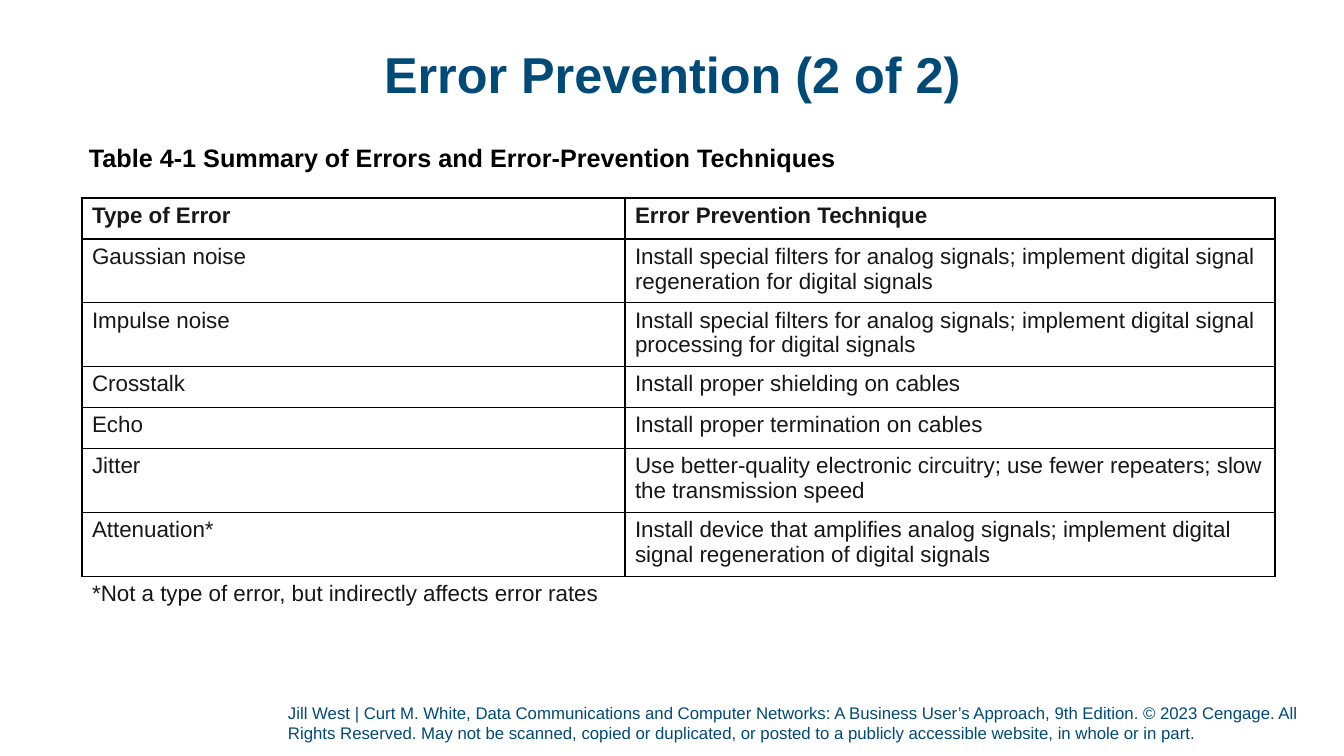
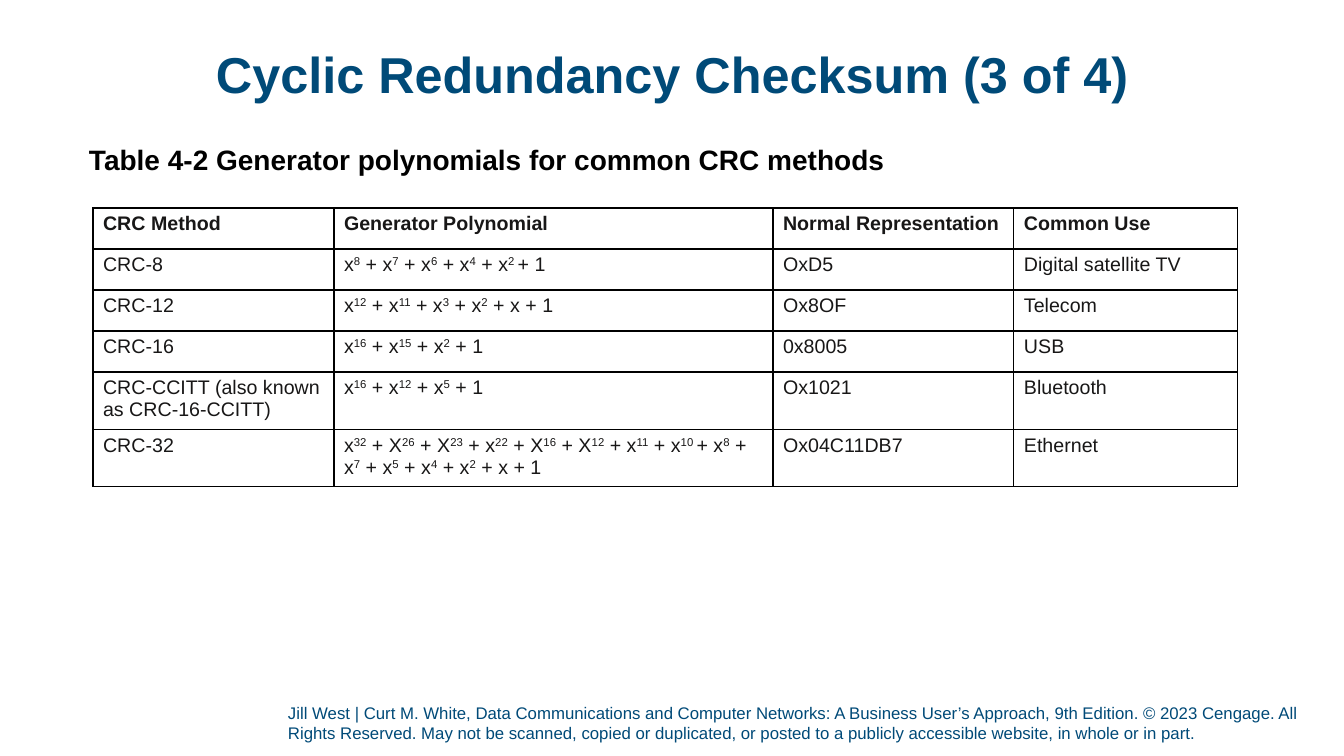
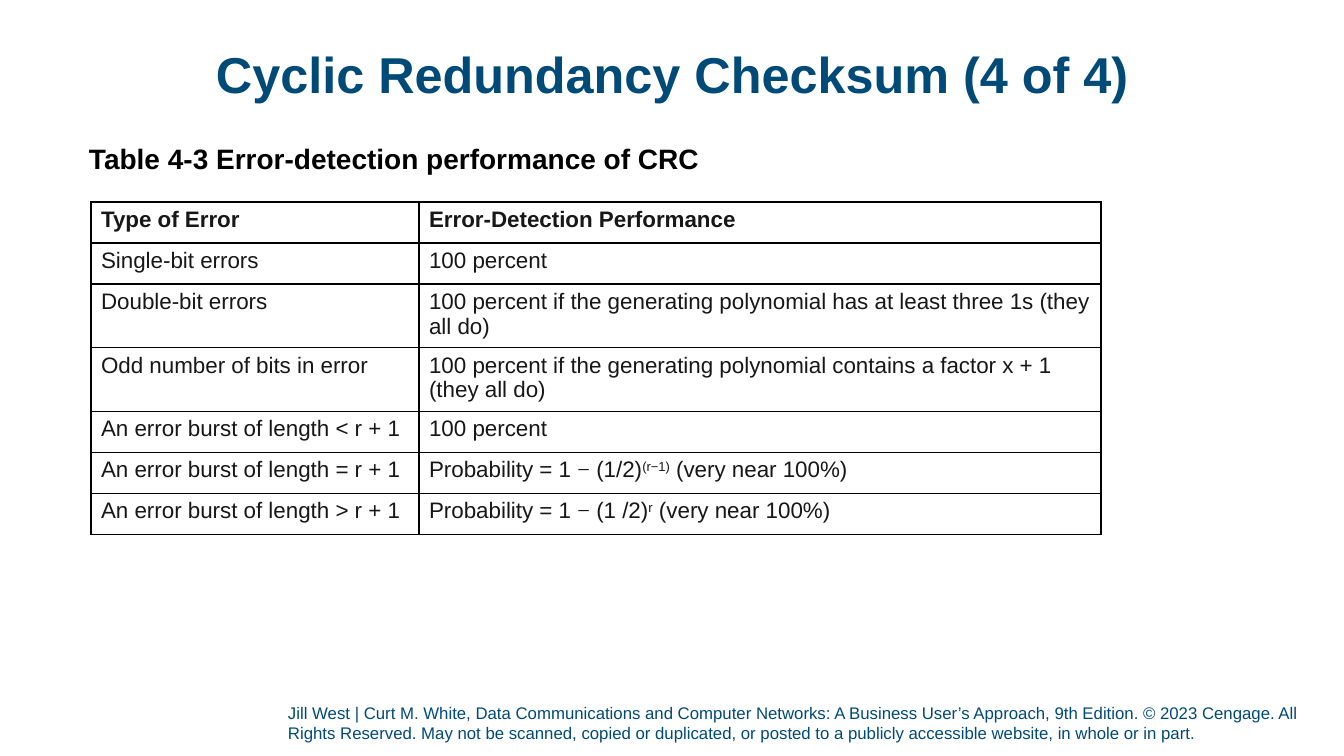
from lxml import etree
from pptx import Presentation
from pptx.dml.color import RGBColor
from pptx.enum import text
from pptx.oxml import ns
from pptx import util as u

PX = 914400 / 100.8
FONT, MINUS_FONT = "Arial", "Times New Roman"
BLUE = RGBColor(0x00, 0x4A, 0x78)
BLACK = RGBColor(0x00, 0x00, 0x00)
INK = RGBColor(0x18, 0x17, 0x17)
ROW = 41
SUPERSCRIPT = "30000"
CREDIT = (
    "Jill West | Curt M. White, Data Communications and Computer Networks: "
    "A Business User’s Approach, 9th Edition. © 2023 Cengage. All Rights Reserved. "
    "May not be scanned, copied or duplicated, or posted to a publicly accessible "
    "website, in whole or in part."
)

TITLE_BOX = (93, 40, 1159, 75)
CREDIT_BOX = (288, 703, 1042, 45)

# In table text, braces enclose a superscript.
ERROR_ROWS = [
    ("Type of Error", "Error Prevention Technique"),
    ("Gaussian noise", "Install special filters for analog signals; implement "
     "digital signal regeneration for digital signals"),
    ("Impulse noise", "Install special filters for analog signals; implement "
     "digital signal processing for digital signals"),
    ("Crosstalk", "Install proper shielding on cables"),
    ("Echo", "Install proper termination on cables"),
    ("Jitter", "Use better-quality electronic circuitry; use fewer repeaters; "
     "slow the transmission speed"),
    ("Attenuation*", "Install device that amplifies analog signals; implement "
     "digital signal regeneration of digital signals"),
    ("*Not a type of error, but indirectly affects error rates", ""),
]
POLYNOMIAL_ROWS = [
    ("CRC Method", "Generator Polynomial", "Normal Representation", "Common Use"),
    ("CRC-8", "x{8} + x{7} + x{6} + x{4} + x{2 }+ 1", "OxD5", "Digital satellite TV"),
    ("CRC-12", "x{12} + x{11} + x{3} + x{2} + x + 1", "Ox8OF", "Telecom"),
    ("CRC-16", "x{16} + x{15} + x{2} + 1", "0x8005", "USB"),
    ("CRC-CCITT (also known as CRC-16-CCITT)", "x{16} + x{12} + x{5} + 1",
     "Ox1021", "Bluetooth"),
    ("CRC-32", "x{32} + X{26} + X{23} + x{22} + X{16} + X{12} + x{11} + x{10 }+ x{8}"
     " + x{7} + x{5} + x{4} + x{2} + x + 1", "Ox04C11DB7", "Ethernet"),
]
PERFORMANCE_ROWS = [
    ("Type of Error", "Error-Detection Performance"),
    ("Single-bit errors", "100 percent"),
    ("Double-bit errors",
     "100 percent if the generating polynomial has at least three 1s (they all do)"),
    ("Odd number of bits in error",
     "100 percent if the generating polynomial contains a factor x + 1 (they all do)"),
    ("An error burst of length < r + 1", "100 percent"),
    ("An error burst of length = r + 1",
     "Probability = 1 − (1/2){(r−1)} (very near 100%)"),
    ("An error burst of length > r + 1",
     "Probability = 1 − (1 /2){r} (very near 100%)"),
]


def px(length):
    return u.Emu(round(length * PX))


def set_all(target, **values):
    for name, value in values.items():
        setattr(target, name, value)


def style_font(font, size, color, bold=False, name=FONT):
    set_all(font, size=u.Pt(size), bold=bold, name=name)
    font.color.rgb = color


def add_text(page, bounds, words, size, color, bold=False, frame=None, para=None):
    """Add a one-paragraph text box; frame and para hold extra format values."""
    body = page.shapes.add_textbox(*map(px, bounds)).text_frame
    margins = dict.fromkeys(
        ("margin_left", "margin_top", "margin_right", "margin_bottom"), 0)
    set_all(body, **{"word_wrap": True, **margins, **(frame or {})})
    line = body.paragraphs[0]
    set_all(line, **(para or {}))
    span = line.add_run()
    span.text = words
    style_font(span.font, size, color, bold)


def fill_cell_text(cell, words, size, bold):
    para = cell.text_frame.paragraphs[0]
    style_font(para.font, size, INK, bold)
    for index, part in enumerate(words.replace("}", "{").split("{")):
        raised = index % 2 == 1
        pieces = [part] if raised else part.replace("−", "|−|").split("|")
        for piece in filter(None, pieces):
            span = para.add_run()
            span.text = piece
            style_font(span.font, size, INK, bold,
                       MINUS_FONT if piece == "−" else FONT)
            if raised:
                span.font._element.set("baseline", SUPERSCRIPT)


def set_borders(cell, visible):
    """Rule the listed sides (from L, R, T, B) and clear the others."""
    properties = cell._tc.get_or_add_tcPr()
    for side in "LRTB":
        line = etree.SubElement(properties, ns.qn("a:ln" + side), w=str(u.Pt(1)))
        if side in visible:
            fill = etree.SubElement(line, ns.qn("a:solidFill"))
            etree.SubElement(fill, ns.qn("a:srgbClr"), val=str(BLACK))
        else:
            etree.SubElement(line, ns.qn("a:noFill"))


def add_grid(page, left, top, widths, rows, size, heights=None, note=False):
    """Add a ruled table; with note, its last row is an open footnote."""
    heights = heights or [ROW] * len(rows)
    bounds = map(px, (left, top, sum(widths), sum(heights)))
    table = page.shapes.add_table(len(rows), len(widths), *bounds).table
    set_all(table, first_row=False, horz_banding=False)
    for column, width in zip(table.columns, widths):
        column.width = px(width)
    for index, (row, height, values) in enumerate(zip(table.rows, heights, rows)):
        row.height = px(height)
        is_note = note and index == len(rows) - 1
        for cell, words in zip(row.cells, values):
            fill_cell_text(cell, words, size, bold=index == 0)
            set_borders(cell, "T" if is_note else "LRTB")
            cell.fill.background()


def add_table_page(deck, title, caption, caption_size, caption_box, grid):
    page = deck.slides.add_slide(deck.slide_layouts[6])
    add_text(page, CREDIT_BOX, CREDIT, 12, BLUE,
             frame={"vertical_anchor": text.MSO_ANCHOR.BOTTOM, "margin_bottom": px(5)})
    add_text(page, TITLE_BOX, title, 36, BLUE, bold=True,
             frame={"vertical_anchor": text.MSO_ANCHOR.MIDDLE},
             para={"alignment": text.PP_ALIGN.CENTER, "line_spacing": 0.9})
    add_text(page, caption_box, caption, caption_size, BLACK, bold=True,
             frame={"margin_left": px(7)})
    add_grid(page, **grid)


def main():
    deck = Presentation()
    set_all(deck, slide_width=px(1344), slide_height=px(756))
    add_table_page(
        deck, "Error Prevention (2 of 2)",
        "Table 4-1 Summary of Errors and Error-Prevention Techniques",
        18, (82, 142, 782, 40),
        dict(left=82, top=198, widths=[543, 650], rows=ERROR_ROWS, size=16,
             heights=[ROW] * 6 + [48, 26], note=True))
    add_table_page(
        deck, "Cyclic Redundancy Checksum (3 of 4)",
        "Table 4-2 Generator polynomials for common CRC methods",
        20, (82, 142, 834, 49),
        dict(left=93, top=208, widths=[241, 439, 241, 224], rows=POLYNOMIAL_ROWS,
             size=14))
    add_table_page(
        deck, "Cyclic Redundancy Checksum (4 of 4)",
        "Table 4-3 Error-detection performance of CRC",
        20, (82, 142, 630, 45),
        dict(left=91, top=202, widths=[328, 682], rows=PERFORMANCE_ROWS, size=16))
    deck.save("out.pptx")


if __name__ == "__main__":
    main()
